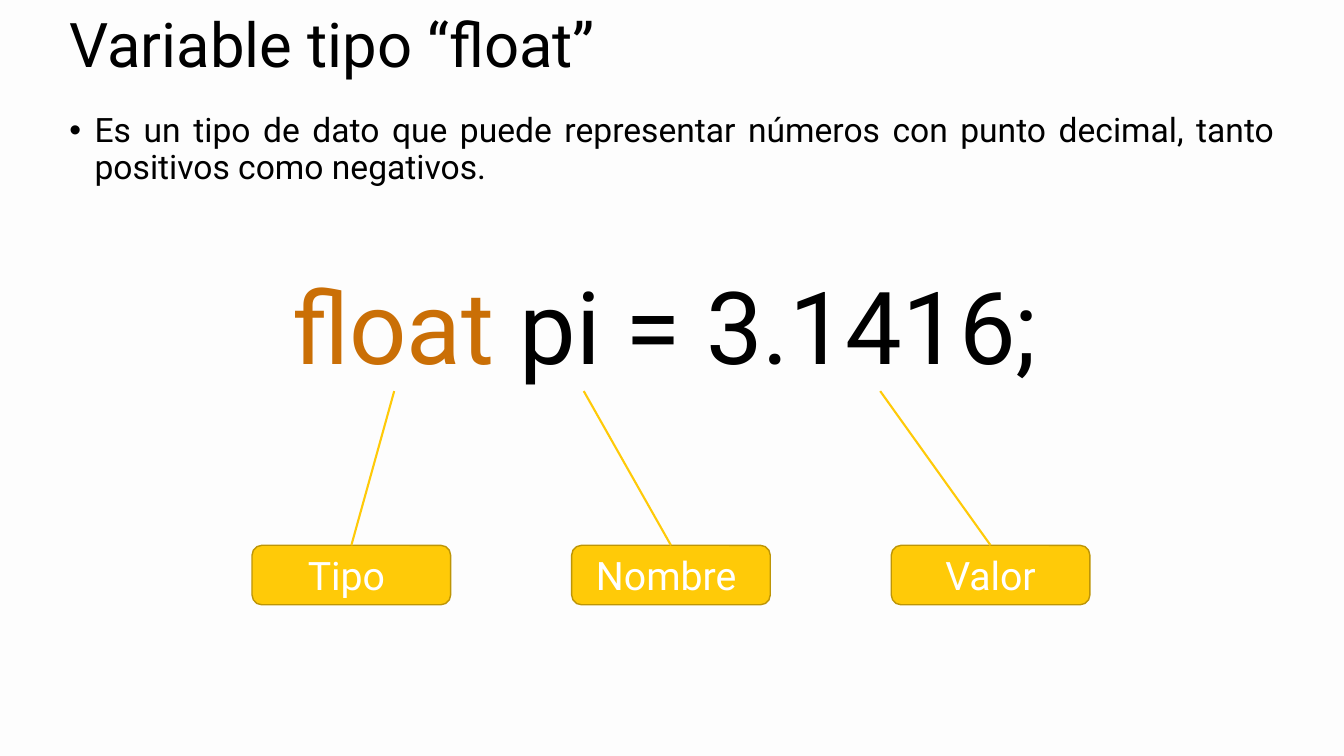
from dataclasses import dataclass

from lxml import etree
from pptx import Presentation
from pptx.dml.color import RGBColor
from pptx.enum.shapes import MSO_CONNECTOR, MSO_SHAPE
from pptx.enum.text import MSO_ANCHOR as ANCHOR, PP_ALIGN as ALIGN
from pptx.oxml.ns import qn
from pptx.util import Inches, Pt


@dataclass(frozen=True)
class Theme:
    font: str = "Roboto"
    background: str = "FDFDFD"
    ink: str = "000000"
    keyword: str = "CA6F06"
    accent: str = "FFCA08"
    outline: str = "BD9506"
    label_ink: str = "FFFFFF"
    title_size: int = 44
    body_size: int = 24
    code_size: int = 72
    label_size: int = 28


THEME = Theme()


def rgb(value):
    return RGBColor.from_string(value)


def write(tf, *parts, size, align=ALIGN.LEFT, anchor=ANCHOR.TOP,
          spacing=None, before=None):
    """Fill a text frame with one paragraph of (text, colour) parts."""
    tf.word_wrap = True
    tf.vertical_anchor = anchor
    p = tf.paragraphs[0]
    p.alignment = align
    if spacing:
        p.line_spacing = spacing
    if before:
        p.space_before = Pt(before)
    for text, color in parts:
        r = p.add_run()
        r.text = text
        r.font.name = THEME.font
        r.font.size = Pt(size)
        r.font.color.rgb = rgb(color)
    return p


def add_text(s, box, *parts, **style):
    tf = s.shapes.add_textbox(*map(Inches, box)).text_frame
    return write(tf, *parts, **style)


def add_bullet(p, indent):
    pPr = p._p.get_or_add_pPr()
    pPr.set("marL", str(Inches(indent)))
    pPr.set("indent", str(-Inches(indent)))
    etree.SubElement(pPr, qn("a:buFont")).set("typeface", "Arial")
    etree.SubElement(pPr, qn("a:buChar")).set("char", "•")


def add_label(s, left, top, text):
    sp = s.shapes.add_shape(MSO_SHAPE.ROUNDED_RECTANGLE, Inches(left),
                            Inches(top), Inches(1.97), Inches(0.59))
    sp.shadow.inherit = False
    sp.fill.solid()
    sp.fill.fore_color.rgb = rgb(THEME.accent)
    sp.line.color.rgb = rgb(THEME.outline)
    sp.line.width = Pt(1)
    write(sp.text_frame, (text, THEME.label_ink), size=THEME.label_size,
          align=ALIGN.CENTER, anchor=ANCHOR.MIDDLE)
    return sp


def add_pointer(s, label, x, y):
    """Draw a line from the top of a label to the code above it."""
    line = s.shapes.add_connector(MSO_CONNECTOR.STRAIGHT, label.left,
                                  label.top, Inches(x), Inches(y))
    line.begin_connect(label, 0)
    line.line.color.rgb = rgb(THEME.accent)
    line.line.width = Pt(1.5)
    etree.SubElement(line._element.spPr, qn("a:effectLst"))


def main():
    prs = Presentation()
    prs.slide_width, prs.slide_height = Inches(13.33), Inches(7.5)
    s = prs.slides.add_slide(prs.slide_layouts[6])
    s.background.fill.solid()
    s.background.fill.fore_color.rgb = rgb(THEME.background)

    # Title and definition
    add_text(s, (0.59, 0.05, 12.15, 0.84),
             ("Variable tipo “float”", THEME.ink),
             size=THEME.title_size, anchor=ANCHOR.MIDDLE, spacing=0.9)
    definition = add_text(
        s, (0.59, 1.08, 12.15, 5.83),
        ("Es un tipo de dato que puede representar números con punto "
         "decimal, tanto positivos como negativos. ", THEME.ink),
        size=THEME.body_size, align=ALIGN.JUSTIFY, spacing=0.9, before=10)
    add_bullet(definition, 0.25)

    # Declaration
    add_text(s, (2.8, 2.57, 8.03, 1.31), ("float", THEME.keyword),
             (" pi = 3.1416;", THEME.ink), size=THEME.code_size)

    # Labels, each pointing at its part of the declaration
    targets = (("Tipo ", 3.91), ("Nombre ", 5.79), ("Valor", 8.73))
    for i, (text, x) in enumerate(targets):
        label = add_label(s, 2.5 + 3.17 * i, 5.41, text)
        add_pointer(s, label, x, 3.88)

    prs.save("out.pptx")


if __name__ == "__main__":
    main()
